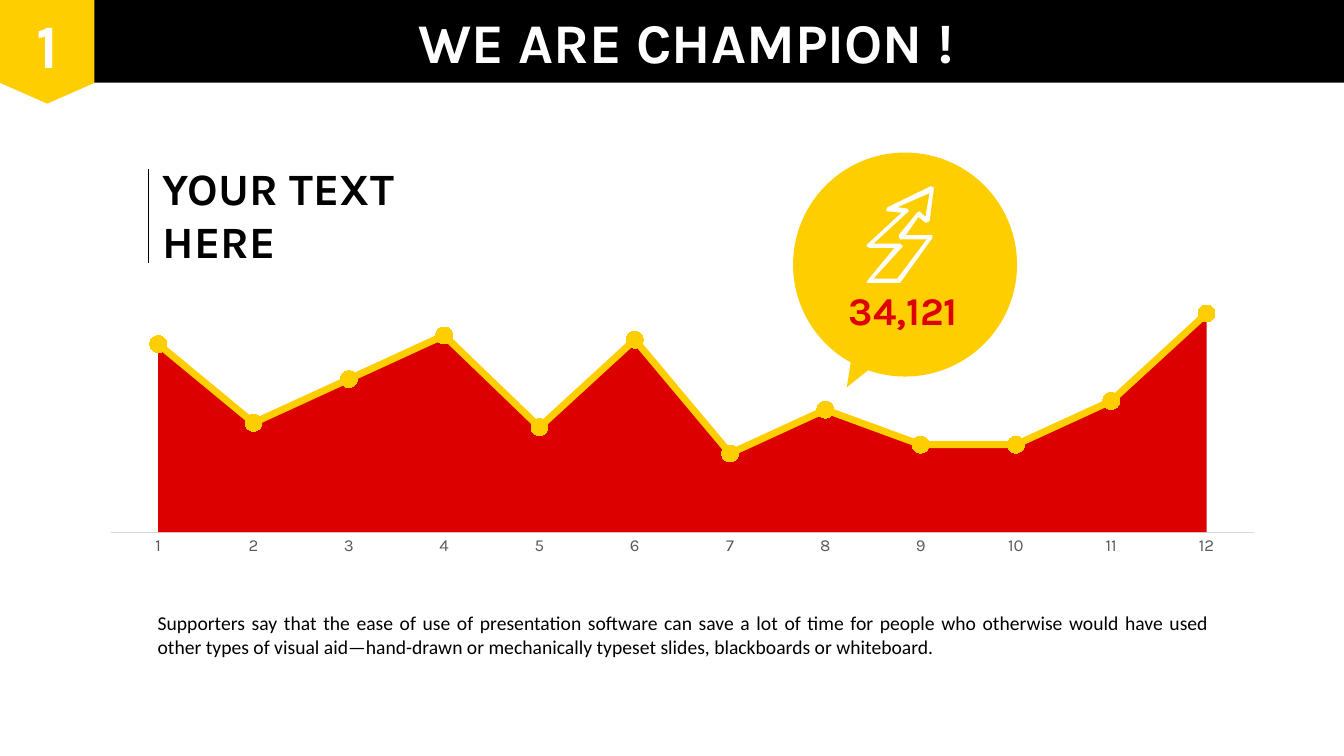
import pptx
import pptx.chart.data
import pptx.dml.color
import pptx.enum.chart
import pptx.enum.shapes
import pptx.enum.text
import pptx.oxml
import pptx.oxml.ns
import pptx.util

Pt = pptx.util.Pt
RGB = pptx.dml.color.RGBColor.from_string
SHAPE = pptx.enum.shapes.MSO_SHAPE
ALIGN = pptx.enum.text.PP_ALIGN
COLORS = {
    "black": "000000",
    "white": "FFFFFF",
    "yellow": "FFCE00",
    "red": "DD0000",
    "label": "595959",
    "axis": "D9D9D9",
}

deck = pptx.Presentation()
deck.slide_width = Pt(960)
deck.slide_height = Pt(540)
slide = deck.slides.add_slide(deck.slide_layouts[5])


def add_block(kind, left, top, width, height, color):
    block = slide.shapes.add_shape(kind, Pt(left), Pt(top), Pt(width), Pt(height))
    block.shadow.inherit = False
    block.fill.solid()
    block.fill.fore_color.rgb = RGB(COLORS[color])
    block.line.fill.background()
    return block


def write_lines(holder, box, lines, size, color, align, font="Karla", wrap=False):
    holder.left, holder.top, holder.width, holder.height = map(Pt, box)
    frame = holder.text_frame
    frame.word_wrap = wrap
    frame.auto_size = pptx.enum.text.MSO_AUTO_SIZE.NONE
    for index, line in enumerate(lines):
        paragraph = frame.add_paragraph() if index else frame.paragraphs[0]
        paragraph.alignment = align
        run = paragraph.add_run()
        run.text = line
        run.font.name = font
        run.font.size = Pt(size)
        run.font.bold = font == "Karla"
        run.font.color.rgb = RGB(COLORS[color])


add_block(SHAPE.RECTANGLE, 0, 0, 960, 59, "black")
add_block(SHAPE.FLOWCHART_OFFPAGE_CONNECTOR, 0, 0, 67.5, 74, "yellow")

title = slide.shapes.title
title.element.getparent().append(title.element)
write_lines(title, (278.5, 1.5, 423, 55.5), ["WE ARE CHAMPION !"], 40, "white", ALIGN.CENTER)
page_number = slide.shapes.add_textbox(0, 0, 0, 0)
write_lines(page_number, (14, 1.5, 40, 60.5), ["1"], 44, "white", ALIGN.CENTER)

monthly = [86, 50, 70, 90, 48, 88, 36, 56, 40, 40, 60, 100]
chart_data = pptx.chart.data.CategoryChartData()
chart_data.categories = [str(month) for month in range(1, 13)]
for series_name in ("Series 1", "Series 2"):
    chart_data.add_series(series_name, monthly)
chart = slide.shapes.add_chart(
    pptx.enum.chart.XL_CHART_TYPE.AREA, Pt(62), Pt(188.5), Pt(851), Pt(213), chart_data
).chart
chart.has_legend = False
chart.has_title = False
chart.font.name = "Karla"
chart.font.size = Pt(10)
chart.font.color.rgb = RGB(COLORS["black"])

month_axis = chart.category_axis
month_axis.has_major_gridlines = False
month_axis.major_tick_mark = pptx.enum.chart.XL_TICK_MARK.NONE
month_axis.minor_tick_mark = pptx.enum.chart.XL_TICK_MARK.NONE
month_axis.format.line.color.rgb = RGB(COLORS["axis"])
month_axis.format.line.width = Pt(0.75)
month_axis.tick_labels.font.name = "Karla"
month_axis.tick_labels.font.size = Pt(12)
month_axis.tick_labels.font.color.rgb = RGB(COLORS["label"])
value_axis = chart.value_axis
value_axis.visible = False
value_axis.has_major_gridlines = False
value_axis.minimum_scale = 0
value_axis.maximum_scale = 120

area_plot = chart.element.xpath("//c:areaChart")[0]
axis_ids = [axis.get("val") for axis in area_plot.xpath("c:axId")]
line_plot = pptx.oxml.parse_xml(
    f'<c:lineChart {pptx.oxml.ns.nsdecls("c")}>'
    '<c:grouping val="standard"/><c:varyColors val="0"/><c:marker val="1"/>'
    f'<c:axId val="{axis_ids[0]}"/><c:axId val="{axis_ids[1]}"/></c:lineChart>'
)
line_plot.insert(2, area_plot.xpath("c:ser")[1])
area_plot.addnext(line_plot)
chart.element.xpath("//c:crossBetween")[0].set("val", "between")

plot_area = chart.element.xpath("//c:plotArea")[0]
for automatic_layout in plot_area.xpath("c:layout"):
    plot_area.remove(automatic_layout)
plot_area.insert(0, pptx.oxml.parse_xml(
    f'<c:layout {pptx.oxml.ns.nsdecls("c")}><c:manualLayout>'
    '<c:layoutTarget val="inner"/><c:xMode val="edge"/><c:yMode val="edge"/>'
    '<c:x val="0.02"/><c:y val="0.02"/><c:w val="0.96"/><c:h val="0.88"/>'
    '</c:manualLayout></c:layout>'
))

for plot in chart.plots:
    plot.vary_by_categories = False
red_area = chart.plots[0].series[0]
red_area.format.fill.solid()
red_area.format.fill.fore_color.rgb = RGB(COLORS["red"])
trend = chart.plots[1].series[0]
trend.smooth = False
trend.format.line.color.rgb = RGB(COLORS["yellow"])
trend.format.line.width = Pt(5)
trend.marker.style = pptx.enum.chart.XL_MARKER_STYLE.CIRCLE
trend.marker.size = 12
trend.marker.format.fill.solid()
trend.marker.format.fill.fore_color.rgb = RGB(COLORS["yellow"])
trend.marker.format.line.color.rgb = RGB(COLORS["yellow"])

summary = slide.shapes.add_textbox(0, 0, 0, 0)
write_lines(
    summary, (105.5, 433, 765.5, 41),
    ["Supporters say that the ease of use of presentation software can save a lot of time "
     "for people who otherwise would have used other types of visual aid—hand-drawn or "
     "mechanically typeset slides, blackboards or whiteboard."],
    14, "black", ALIGN.JUSTIFY, font="Calibri", wrap=True,
)

add_block(SHAPE.OVAL, 566.5, 109, 160, 160, "yellow")
callout_tail = add_block(SHAPE.ISOSCELES_TRIANGLE, 597, 223, 44.5, 57.5, "yellow")
callout_tail.rotation = 210

heading_rule = slide.shapes.add_connector(
    pptx.enum.shapes.MSO_CONNECTOR.STRAIGHT, Pt(106), Pt(121), Pt(106), Pt(188)
)
heading_rule.line.color.rgb = RGB(COLORS["black"])
heading_rule.line.width = Pt(0.5)
heading_rule.element.spPr.append(
    pptx.oxml.parse_xml(f'<a:effectLst {pptx.oxml.ns.nsdecls("a")}/>')
)
heading = slide.shapes.add_textbox(0, 0, 0, 0)
write_lines(heading, (109, 111, 188.5, 85), ["YOUR TEXT", "HERE"], 32, "black", ALIGN.LEFT)

arrow_rim = [
    (641.5, 202.3), (643, 201.6), (666, 170), (666, 168.5), (664.6, 167.8),
    (646.6, 167.8), (656, 154.8), (661, 159), (662.4, 159.1), (663.8, 157.7),
    (667.4, 135.4), (666.7, 133.9), (664.6, 133.2), (633.6, 148.3), (632.9, 150.5),
    (634.3, 151.2), (643.7, 151.9), (619.2, 175), (619.2, 176.4), (620.6, 177.1),
    (639.4, 177.1), (619.9, 200.2), (619.2, 201.6), (620.6, 202.3),
]
arrow_hole = [
    (640.8, 199.4), (624.2, 199.4), (644.4, 177.1), (645.1, 175.7), (643, 174.2),
    (624.2, 174.2), (648.7, 151.2), (649.4, 149.8), (648, 149), (640.8, 148.3),
    (663.8, 137.5), (661, 154.8), (657.4, 151.2), (655.2, 151.9), (641.5, 167.8),
    (641.5, 169.2), (643, 170.6), (661.7, 170.6),
]
outline = slide.shapes.build_freeform(*arrow_rim[0], scale=Pt(1))
outline.add_line_segments(arrow_rim[1:])
outline.move_to(*arrow_hole[0])
outline.add_line_segments(arrow_hole[1:])
growth_arrow = outline.convert_to_shape()
growth_arrow.shadow.inherit = False
growth_arrow.fill.solid()
growth_arrow.fill.fore_color.rgb = RGB(COLORS["white"])
growth_arrow.line.fill.background()

figure = slide.shapes.add_textbox(0, 0, 0, 0)
write_lines(figure, (583, 201, 124.5, 41), ["34,121"], 28, "red", ALIGN.CENTER, wrap=True)

deck.save("out.pptx")
